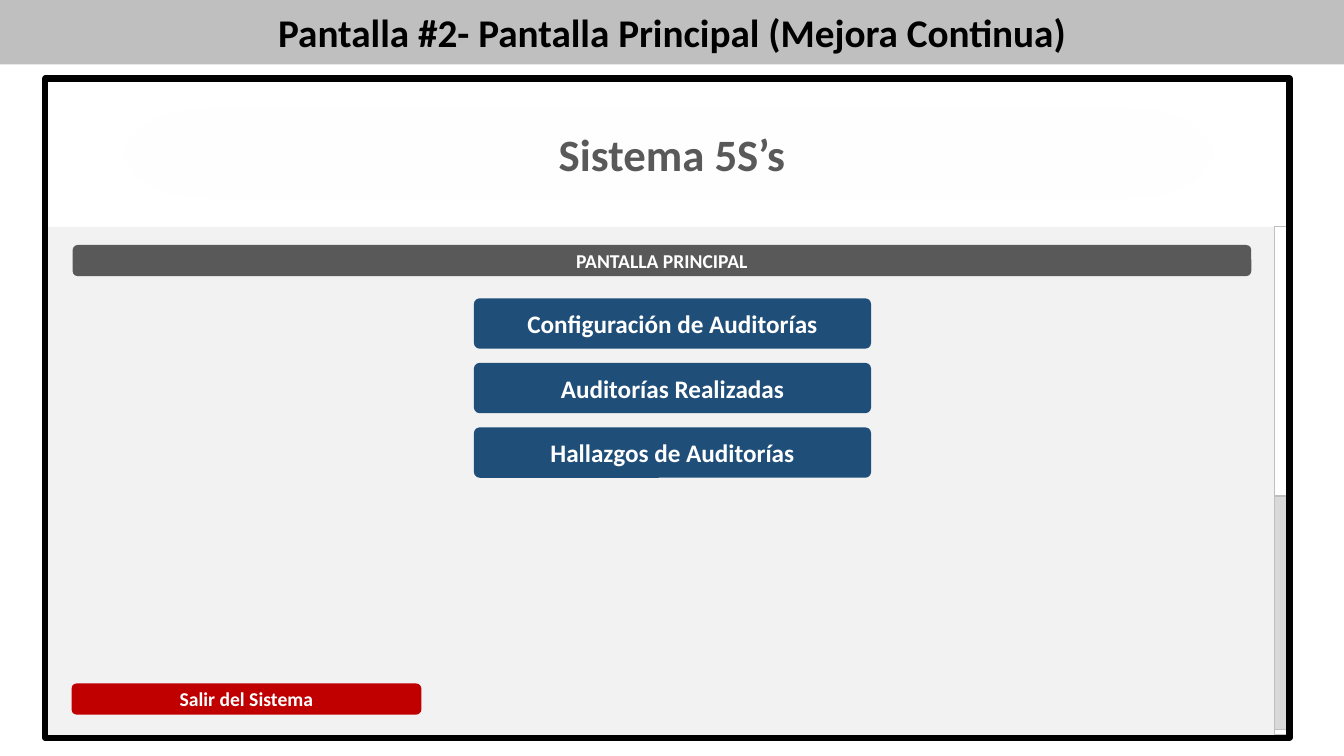
from lxml.etree import SubElement
from pptx import Presentation
from pptx.dml.color import RGBColor
from pptx.enum.shapes import MSO_SHAPE
from pptx.enum.text import MSO_ANCHOR, MSO_AUTO_SIZE, PP_ALIGN
from pptx.oxml.ns import qn
from pptx.util import Emu, Pt

PX = 9144
BLACK = RGBColor(0x00, 0x00, 0x00)
WHITE = RGBColor(0xFF, 0xFF, 0xFF)
PANEL_GRAY = RGBColor(0xF2, 0xF2, 0xF2)
HEADER_GRAY = RGBColor(0xDE, 0xDE, 0xDE)
THUMB_GRAY = RGBColor(0xD9, 0xD9, 0xD9)
TITLE_GRAY = RGBColor(0xBF, 0xBF, 0xBF)
DARK_GRAY = RGBColor(0x59, 0x59, 0x59)
BLUE = RGBColor(0x1F, 0x4E, 0x79)
RED = RGBColor(0xC0, 0x00, 0x00)


def add_box(left, top, width, height, fill, line=None, line_width=1, kind=MSO_SHAPE.RECTANGLE):
    box = page.shapes.add_shape(kind, *(Emu(n * PX) for n in (left, top, width, height)))
    box.shadow.inherit = False
    if fill is None:
        box.fill.background()
    else:
        box.fill.solid()
        box.fill.fore_color.rgb = fill
    if line is None:
        box.line.fill.background()
    else:
        box.line.color.rgb = line
        box.line.width = Pt(line_width)
    return box


def write(box, text, size, color):
    box.text_frame.vertical_anchor = MSO_ANCHOR.MIDDLE
    para = box.text_frame.paragraphs[0]
    para.text = text
    para.alignment = PP_ALIGN.CENTER
    para.font.name = "Calibri"
    para.font.size = Pt(size)
    para.font.bold = True
    para.font.color.rgb = color


deck = Presentation()
deck.slide_width = Emu(1333 * PX)
deck.slide_height = Emu(750 * PX)
page = deck.slides.add_slide(deck.slide_layouts[6])

add_box(45, 225, 1234, 508, PANEL_GRAY)
header = add_box(45, 78, 1234, 147, HEADER_GRAY)
effects = header._element.spPr.find(qn("a:effectLst"))
SubElement(effects, qn("a:softEdge"), rad=str(Pt(50)))

title_bar = add_box(0, 0, 1333, 64, TITLE_GRAY)
write(title_bar, "Pantalla #2- Pantalla Principal (Mejora Continua)", 28, BLACK)

system_name = page.shapes.add_textbox(*(Emu(n * PX) for n in (543, 120, 247, 64)))
system_name.text_frame.word_wrap = False
system_name.text_frame.auto_size = MSO_AUTO_SIZE.SHAPE_TO_FIT_TEXT
write(system_name, "Sistema 5S’s", 32, DARK_GRAY)

add_box(1264, 225, 13, 504, WHITE, TITLE_GRAY)
add_box(1264, 492, 13, 232, THUMB_GRAY, TITLE_GRAY)
add_box(45, 78, 1234, 654, None, BLACK, 4.5)

buttons = [
    (72, 243, 1169, 31, DARK_GRAY, "PANTALLA PRINCIPAL", 14, 0.167),
    (71, 678, 347, 31, RED, "Salir del Sistema", 14, 0.167),
]
menu = ["Configuración de Auditorías", "Auditorías Realizadas", "Hallazgos de Auditorías"]
for row, label in enumerate(menu):
    buttons.append((470, 296 + row * 64, 394, 50, BLUE, label, 18, 0.115))

for left, top, width, height, fill, label, size, rounding in buttons:
    button = add_box(left, top, width, height, fill, kind=MSO_SHAPE.ROUNDED_RECTANGLE)
    button.adjustments[0] = rounding
    write(button, label, size, WHITE)

deck.save("out.pptx")
